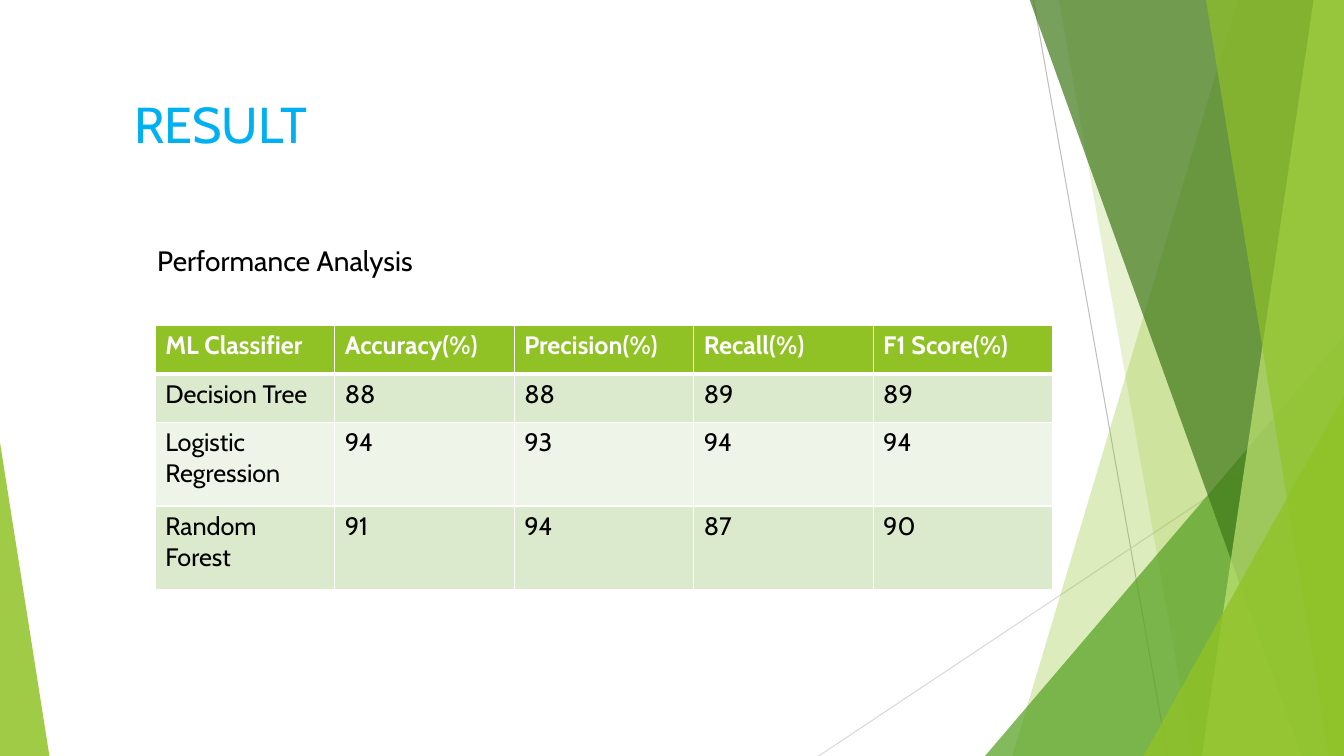
from lxml.etree import SubElement
from pptx import Presentation
from pptx.dml.color import RGBColor
from pptx.enum.shapes import MSO_CONNECTOR as CONN, MSO_SHAPE as SHAPE
from pptx.enum.text import MSO_ANCHOR as ANCHOR, PP_ALIGN as ALIGN
from pptx.oxml import parse_xml
from pptx.oxml.ns import nsdecls, qn
from pptx.util import Pt

PX = 9144
W, H = 1333, 750
FONT = "Cabin"
WHITE = RGBColor(0xFF, 0xFF, 0xFF)
BLACK = RGBColor(0x00, 0x00, 0x00)
BLUE = RGBColor(0x00, 0xB0, 0xF0)
LIME = RGBColor(0x90, 0xC2, 0x26)
GREEN = RGBColor(0x54, 0xA0, 0x21)
FOREST = RGBColor(0x3F, 0x78, 0x19)
PALE_LIME = RGBColor(0xC0, 0xE4, 0x74)
BAND_DARK = RGBColor(0xDB, 0xE9, 0xCD)
BAND_LIGHT = RGBColor(0xEE, 0xF4, 0xE8)
GREY = RGBColor(0xBF, 0xBF, 0xBF)
LIGHT_GREY = RGBColor(0xD9, 0xD9, 0xD9)

LINES = [((1025, 0), (1158, H), GREY), ((W, 403), (812, H), LIGHT_GREY)]
BACK_FACETS = [(1228, 1004, LIME, 30), (1050, 1183, LIME, 20)]
FRONT_FACETS = [
    (1021, 1291, FOREST, 70),
    (1303, 1192, PALE_LIME, 70),
    (1196, 1318, LIME, 65),
]
ROWS = [
    ("ML Classifier", "Accuracy(%)", "Precision(%)", "Recall(%)", "F1 Score(%)"),
    ("Decision Tree", "88", "88", "89", "89"),
    ("Logistic Regression", "94", "93", "94", "94"),
    ("Random Forest", "91", "94", "87", "90"),
]
ROW_HEIGHTS = [48, 48, 83, 83]
ROW_FILLS = [LIME, BAND_DARK, BAND_LIGHT, BAND_DARK]


def px(*values):
    """Turn pixel lengths into EMU."""
    return [v * PX for v in values]


def paint(sp, color, alpha):
    """Give a shape a translucent fill without line or shadow."""
    sp.shadow.inherit = False
    sp.line.fill.background()
    sp.fill.solid()
    sp.fill.fore_color.rgb = color
    clr = sp._element.spPr.find(f"{qn('a:solidFill')}/{qn('a:srgbClr')}")
    SubElement(clr, qn("a:alpha")).set("val", str(alpha * 1000))


def add_line(s, start, end, color):
    """Draw a thin straight line."""
    cx = s.shapes.add_connector(CONN.STRAIGHT, *px(*start, *end))
    cx.line.color.rgb = color
    cx.line.width = Pt(0.75)
    SubElement(cx._element.spPr, qn("a:effectLst"))


def add_facet(s, top_x, bottom_x, color, alpha):
    """Draw a full-height facet from a slanted edge to the right side."""
    fb = s.shapes.build_freeform(top_x, -1, scale=PX)
    fb.add_line_segments([(W, -1), (W, H), (bottom_x, H)], close=True)
    paint(fb.convert_to_shape(), color, alpha)


def add_triangle(s, x, y, w, apex, color, alpha):
    """Draw a triangle that stands on the bottom edge."""
    sp = s.shapes.add_shape(SHAPE.ISOSCELES_TRIANGLE, *px(x, y, w, H - y))
    sp.adjustments[0] = apex
    paint(sp, color, alpha)


def add_text(tf, text, size, color, bold=False):
    """Write one formatted run at the top left of a frame."""
    p = tf.paragraphs[0]
    p.alignment = ALIGN.LEFT
    r = p.add_run()
    r.text = text
    r.font.name = FONT
    r.font.size = Pt(size)
    r.font.bold = bold
    r.font.color.rgb = color


def set_borders(cell, top, bottom):
    """Draw white cell borders with widths in points."""
    tc_pr = cell._tc.get_or_add_tcPr()
    widths = {"lnL": 1, "lnR": 1, "lnT": top, "lnB": bottom}
    for i, (tag, width) in enumerate(widths.items()):
        tc_pr.insert(i, parse_xml(
            f'<a:{tag} {nsdecls("a")} w="{Pt(width)}"><a:solidFill>'
            f'<a:srgbClr val="{WHITE}"/></a:solidFill></a:{tag}>'))


def add_results(s, x, y, col_w):
    """Build the table of classifier scores."""
    cols = len(ROWS[0])
    frame = s.shapes.add_table(
        len(ROWS), cols, *px(x, y, col_w * cols, sum(ROW_HEIGHTS)))
    table = frame.table
    for col in table.columns:
        col.width = col_w * PX
    for i, values in enumerate(ROWS):
        table.rows[i].height = ROW_HEIGHTS[i] * PX
        header = i == 0
        for j, value in enumerate(values):
            cell = table.cell(i, j)
            cell.fill.solid()
            cell.fill.fore_color.rgb = ROW_FILLS[i]
            set_borders(cell, 3 if i == 1 else 1, 3 if header else 1)
            add_text(cell.text_frame, value, 18, WHITE if header else BLACK, header)


def add_backdrop(s):
    """Draw the lines and green facets."""
    for line in LINES:
        add_line(s, *line)
    for facet in BACK_FACETS:
        add_facet(s, *facet)
    add_triangle(s, 977, 333, 356, 1, GREEN, 72)
    for facet in FRONT_FACETS:
        add_facet(s, *facet)
    add_triangle(s, 1134, 393, 199, 1, LIME, 80)
    add_triangle(s, 0, 439, 49, 0, LIME, 85)


def main():
    """Build and save the slide."""
    prs = Presentation()
    prs.slide_width, prs.slide_height = px(W, H)
    s = prs.slides.add_slide(prs.slide_layouts[5])
    add_backdrop(s)
    title = s.shapes.title
    title.left, title.top, title.width, title.height = px(123, 87, 498, 71)
    title.text_frame.vertical_anchor = ANCHOR.TOP
    add_text(title.text_frame, "RESULT", 36, BLUE)
    subtitle = s.shapes.add_textbox(*px(146, 237, 695, 44))
    subtitle.text_frame.word_wrap = True
    add_text(subtitle.text_frame, "Performance Analysis", 20, BLACK)
    add_results(s, 154, 323, 178)
    prs.save("out.pptx")


if __name__ == "__main__":
    main()
